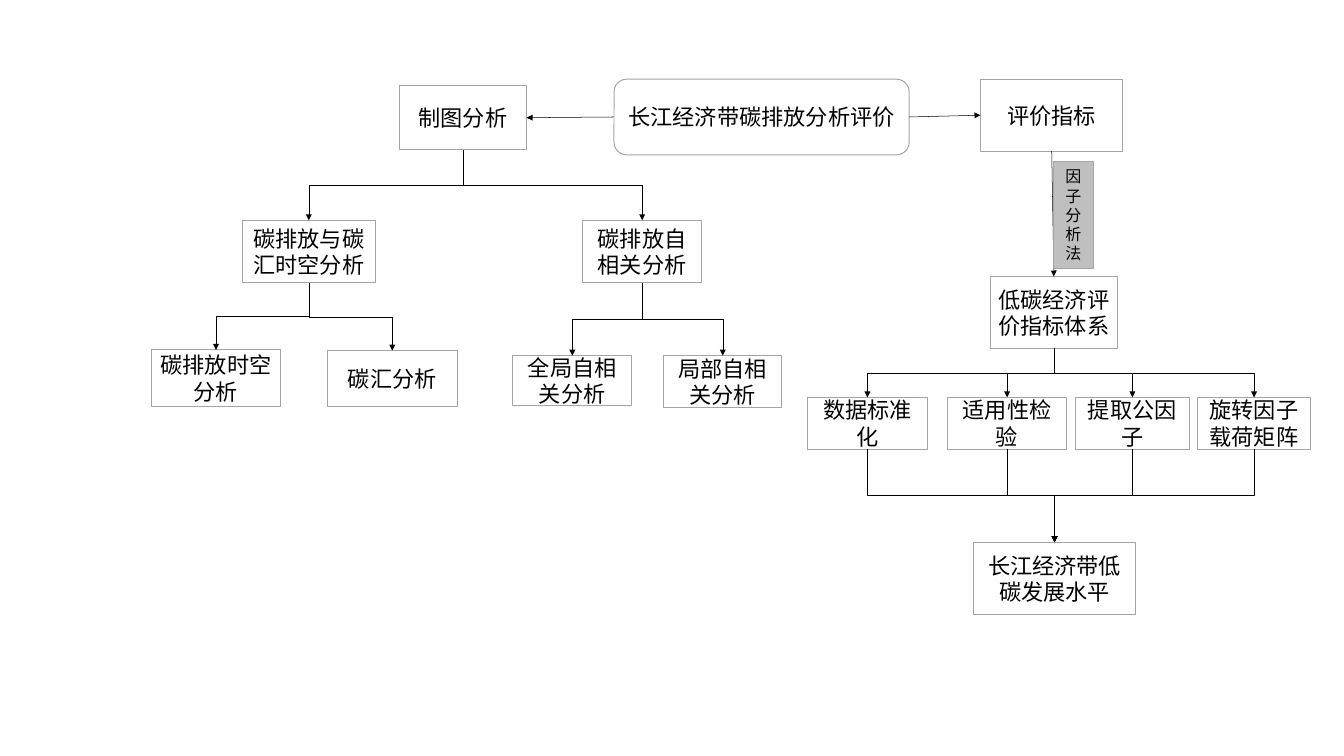
"""Flow chart of the carbon emission analysis of the Yangtze River Economic Belt."""
from dataclasses import dataclass

from lxml import etree
from pptx import Presentation
from pptx.dml.color import RGBColor
from pptx.enum.shapes import MSO_CONNECTOR, MSO_SHAPE
from pptx.enum.text import MSO_ANCHOR, PP_ALIGN
from pptx.oxml.ns import qn
from pptx.util import Inches, Pt

RECTANGLE, ROUNDED = MSO_SHAPE.RECTANGLE, MSO_SHAPE.ROUNDED_RECTANGLE
STRAIGHT, ELBOW = MSO_CONNECTOR.STRAIGHT, MSO_CONNECTOR.ELBOW
MIDDLE, CENTER = MSO_ANCHOR.MIDDLE, PP_ALIGN.CENTER
TOP, LEFT, BOTTOM, RIGHT = range(4)


@dataclass(frozen=True)
class Theme:
    font: str = "Calibri"
    step_size: float = 22.2
    method_size: float = 16
    ink: RGBColor = RGBColor(0, 0, 0)
    paper: RGBColor = RGBColor(255, 255, 255)
    border: RGBColor = RGBColor(0xA5, 0xA5, 0xA5)
    method_fill: RGBColor = RGBColor(0xBF, 0xBF, 0xBF)
    border_width: float = 1
    arrow_width: float = 0.5


theme = Theme()
presentation = Presentation()
presentation.slide_width, presentation.slide_height = Inches(18.67), Inches(10.5)
slide = presentation.slides.add_slide(presentation.slide_layouts[6])


def add_step(text, center, top, width, height, outline=RECTANGLE,
             fill=theme.paper, size=theme.step_size):
    step = slide.shapes.add_shape(outline, Inches(center - width / 2), Inches(top),
                                  Inches(width), Inches(height))
    step.shadow.inherit = False
    step.fill.solid()
    step.fill.fore_color.rgb = fill
    step.line.color.rgb = theme.border
    step.line.width = Pt(theme.border_width)
    frame = step.text_frame
    frame.word_wrap, frame.vertical_anchor = True, MIDDLE
    paragraph = frame.paragraphs[0]
    paragraph.alignment = CENTER
    run = paragraph.add_run()
    run.text = text
    for attribute, value in {"name": theme.font, "size": Pt(size)}.items():
        setattr(run.font, attribute, value)
    run.font.color.rgb = theme.ink
    return step


def add_arrow(source, source_side, target, target_side, route):
    arrow = slide.shapes.add_connector(route, 0, 0, 0, 0)
    arrow.begin_connect(source, source_side)
    arrow.end_connect(target, target_side)
    properties = arrow._element.spPr
    if route == ELBOW:
        across, down = arrow.end_x - arrow.begin_x, arrow.end_y - arrow.begin_y
        middle_x = (arrow.begin_x + arrow.end_x) // 2
        middle_y = (arrow.begin_y + arrow.end_y) // 2
        turn = properties.find(qn("a:xfrm"))
        turn.attrib.clear()
        frame = {"left": middle_x - down // 2, "top": middle_y - abs(across) // 2,
                 "width": down, "height": abs(across)}
        for attribute, value in frame.items():
            setattr(arrow, attribute, value)
        turn.set("rot", "16200000" if across > 0 else "5400000")
        if across > 0:
            turn.set("flipH", "1")
    arrow.line.color.rgb = theme.ink
    arrow.line.width = Pt(theme.arrow_width)
    etree.SubElement(properties.find(qn("a:ln")), qn("a:tailEnd"), type="triangle")
    etree.SubElement(properties, qn("a:effectLst"))


BRANCH_ROW, LEAF_ROW, FACTOR_ROW = 3.06, 4.94, 5.52
BRANCH_HEIGHT, FACTOR_HEIGHT = 0.87, 0.72

steps = {name: add_step(*layout) for name, layout in {
    "evaluation": ("长江经济带碳排放分析评价", 10.58, 1.1, 4.1, 1.05, ROUNDED),
    "mapping": ("制图分析", 6.43, 1.19, 1.77, 0.89),
    "indicators": ("评价指标", 14.61, 1.1, 1.98, 1),
    "space_time": ("碳排放与碳汇时空分析", 4.29, BRANCH_ROW, 1.85, BRANCH_HEIGHT),
    "autocorrelation": ("碳排放自相关分析", 8.92, BRANCH_ROW, 1.65, BRANCH_HEIGHT),
    "emission": ("碳排放时空分析", 3, 4.86, 1.8, 0.78),
    "sink": ("碳汇分析", 5.45, 4.87, 1.8, 0.78),
    "global": ("全局自相关分析", 7.95, LEAF_ROW, 1.66, 0.69),
    "local": ("局部自相关分析", 10.04, LEAF_ROW, 1.64, 0.72),
    "system": ("低碳经济评价指标体系", 14.64, 3.84, 1.76, 1),
    "standardize": ("数据标准化", 12.05, FACTOR_ROW, 1.66, FACTOR_HEIGHT),
    "suitability": ("适用性检验", 13.99, FACTOR_ROW, 1.66, FACTOR_HEIGHT),
    "extract": ("提取公因子", 15.73, FACTOR_ROW, 1.58, FACTOR_HEIGHT),
    "rotate": ("旋转因子载荷矩阵", 17.42, FACTOR_ROW, 1.56, FACTOR_HEIGHT),
    "level": ("长江经济带低碳发展水平", 14.65, 7.53, 2.26, 1.01),
}.items()}

add_arrow(steps["evaluation"], LEFT, steps["mapping"], RIGHT, STRAIGHT)
add_arrow(steps["evaluation"], RIGHT, steps["indicators"], LEFT, STRAIGHT)
add_arrow(steps["indicators"], BOTTOM, steps["system"], TOP, STRAIGHT)

factors = ("standardize", "suitability", "extract", "rotate")
branches = {
    "mapping": ("space_time", "autocorrelation"),
    "space_time": ("emission", "sink"),
    "autocorrelation": ("global", "local"),
    "system": factors,
    **{factor: ("level",) for factor in factors},
}
for parent, children in branches.items():
    for child in children:
        add_arrow(steps[parent], BOTTOM, steps[child], TOP, ELBOW)

add_step("因子分析法", 14.91, 2.24, 0.55, 1.49,
         fill=theme.method_fill, size=theme.method_size)

presentation.save("out.pptx")
